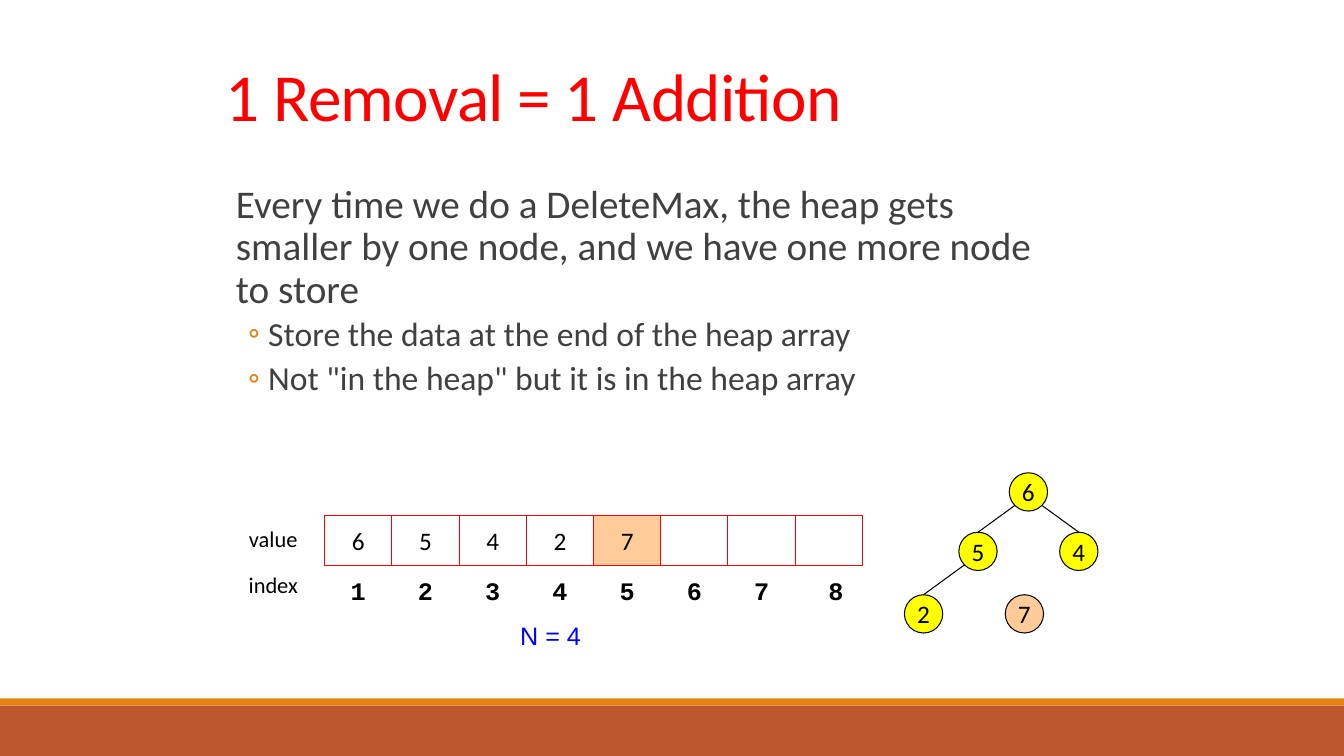
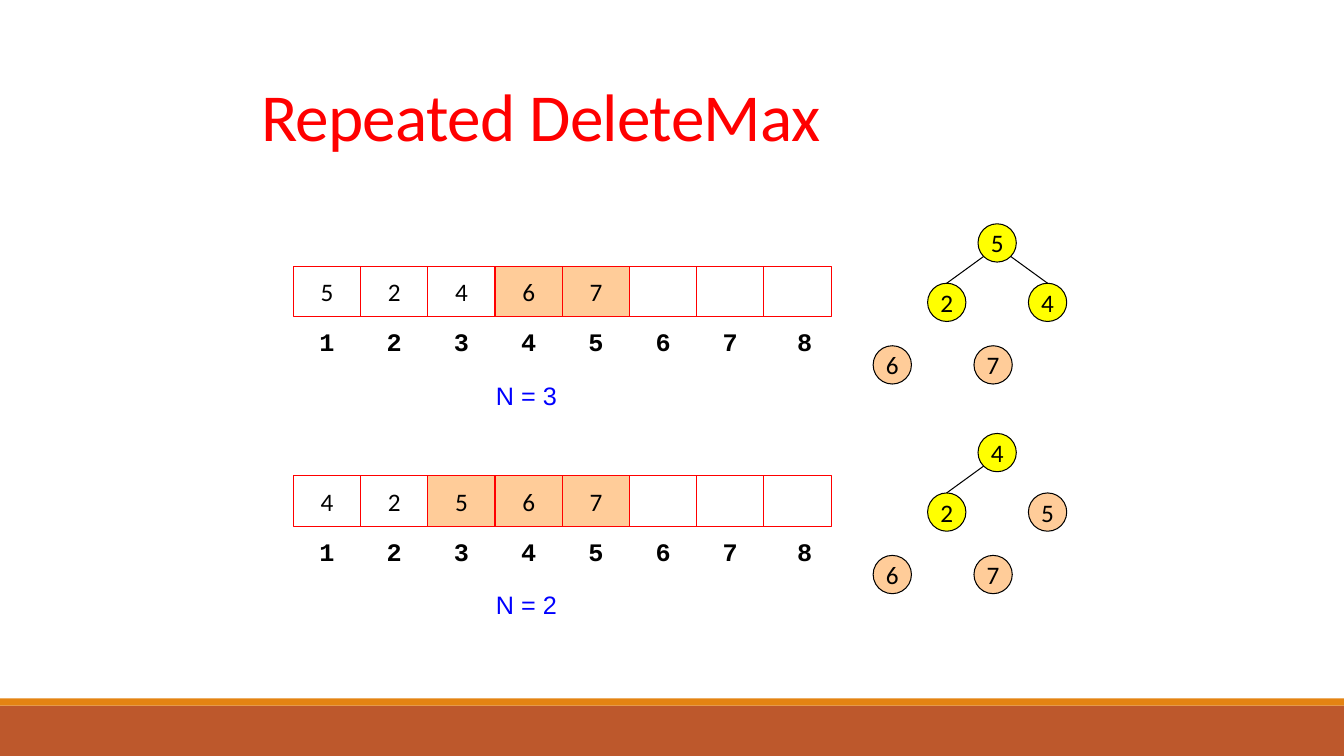
from math import sqrt
from lxml import etree
from pptx import Presentation, util as u
from pptx.dml.color import RGBColor
from pptx.enum import shapes as sh, text as tx
from pptx.oxml.ns import qn

WIDE, HIGH = 13.33, 7.5
INK, RED, BLUE, GREY = "000000", "FF0000", "0000FF", "404040"
RUST, AMBER, YELLOW, PEACH = "BD582C", "E48312", "FFFF00", "FFCC99"
BANDS = [(7, 0.5, RUST), (6.93, 0.07, AMBER)]

BODY = [
    (0, "Every time we do a DeleteMax, the heap gets smaller by one node, "
        "and we have one more node to store"),
    (1, "Store the data at the end of the heap array"),
    (1, 'Not "in the heap" but it is in the heap array'),
]
LEVELS = [(28, 0.1, 0, 12, 2), (24, 0.42, -0.2, 2, 4)]
LABELS = [("value", 5.16), ("index", 5.61)]

SLIDES = [
    dict(title="1 Removal = 1 Addition", at=(2.14, 0.61), body=BODY, labels=LABELS,
         heaps=[dict(data="65427", size=4, at=(3.22, 5.11), note=(1.84, 1))]),
    dict(title="Repeated DeleteMax", at=(2.49, 0.81), body=[], labels=[],
         heaps=[dict(data="52467", size=3, at=(2.91, 2.64), note=(1.91, 1.08)),
                dict(data="42567", size=2, at=(2.91, 4.72), note=(1.91, 1.08))]),
]

SLOTS, CELL, ROW, NODE = 8, 2 / 3, 0.5, 0.38
ROOT = (6.79, -0.42)
TREE = [(0, 0), (-0.5, 0.59), (0.5, 0.59), (-1.04, 1.21), (-0.04, 1.21)]


def color(code):
    return RGBColor.from_string(code)


def place(item, x, y, w, h):
    item.left, item.top, item.width, item.height = map(u.Inches, (x, y, w, h))


def style(par, size, code=INK, font="Calibri", bold=False):
    for run in par.runs:
        run.font.size, run.font.name, run.font.bold = u.Pt(size), font, bold
        run.font.color.rgb = color(code)


def shape(slide, kind, box, fill=None, line=None, text=""):
    item = slide.shapes.add_shape(kind, *map(u.Inches, box))
    item.shadow.inherit = False
    if fill:
        item.fill.solid()
        item.fill.fore_color.rgb = color(fill)
    else:
        item.fill.background()
    if line:
        item.line.color.rgb = color(line)
        item.line.width = u.Pt(0.75)
    else:
        item.line.fill.background()
    if text:
        write(item, text, 18)
    return item


def write(item, text, size, code=INK, font="Calibri", bold=False, mid=True):
    frame = item.text_frame
    frame.word_wrap = False
    frame.text = text
    frame.vertical_anchor = tx.MSO_ANCHOR.MIDDLE if mid else tx.MSO_ANCHOR.TOP
    par = frame.paragraphs[0]
    par.alignment = tx.PP_ALIGN.CENTER if mid else tx.PP_ALIGN.LEFT
    style(par, size, code, font, bold)


def label(slide, box, *args, **opts):
    write(slide.shapes.add_textbox(*map(u.Inches, box)), *args, **opts)


def bands(deck, slide):
    tree = deck.slide_master.shapes.element
    for row, (y, h, fill) in enumerate(BANDS):
        band = shape(slide, sh.MSO_SHAPE.RECTANGLE, (0, y, WIDE, h), fill)
        tree.insert(2 + row, band.element)


def title(slide, text, at):
    item = slide.shapes.title
    place(item, *at, 8.5, 1.25)
    frame = item.text_frame
    frame.text = text
    frame.auto_size = tx.MSO_AUTO_SIZE.NONE
    frame.vertical_anchor = tx.MSO_ANCHOR.TOP
    par = frame.paragraphs[0]
    par.alignment, par.line_spacing = tx.PP_ALIGN.LEFT, 0.85
    style(par, 48, RED)
    par.runs[0].font._element.set("spc", "-50")


def bullet(par, level):
    size, left, hang, above, below = LEVELS[level]
    par.level, par.line_spacing = level, 0.9
    par.space_before, par.space_after = u.Pt(above), u.Pt(below)
    style(par, size, GREY)
    props = par._p.get_or_add_pPr()
    props.set("marL", str(u.Inches(left)))
    props.set("indent", str(u.Inches(hang)))
    if level:
        tint = etree.SubElement(props, qn("a:buClr"))
        etree.SubElement(tint, qn("a:srgbClr"), val=AMBER)
        etree.SubElement(props, qn("a:buFont"), typeface="Calibri")
        etree.SubElement(props, qn("a:buChar"), char="◦")
    else:
        etree.SubElement(props, qn("a:buNone"))


def body(slide, lines):
    item = slide.placeholders[1]
    place(item, 2.14, 1.78, 8.25, 3)
    frame = item.text_frame
    frame.text = "\n".join(text for _, text in lines)
    frame.auto_size = tx.MSO_AUTO_SIZE.NONE
    for par, (level, _) in zip(frame.paragraphs, lines):
        bullet(par, level)


def edge(slide, top, child, side):
    reach = NODE / sqrt(8)
    x = top.left + top.width // 2 + side * u.Inches(reach)
    y = top.top + top.height // 2 + u.Inches(reach)
    line = slide.shapes.add_connector(sh.MSO_CONNECTOR.STRAIGHT, x, y, x, y)
    line.end_connect(child, 0)
    line.line.color.rgb = color(INK)
    line.line.width = u.Pt(0.75)
    etree.SubElement(line.element.spPr, qn("a:effectLst"))


def heap(slide, data, size, at, note):
    x, y = at
    for i in range(SLOTS):
        left = x + i * CELL
        fill = PEACH if size <= i < len(data) else None
        shape(slide, sh.MSO_SHAPE.RECTANGLE, (left, y, CELL, ROW), fill, RED, data[i:i + 1])
        nudge = 0.07 if i == SLOTS - 1 else 0
        label(slide, (left + nudge, y + ROW, CELL, ROW), str(i + 1), 18,
              font="Courier New", bold=True)
    label(slide, (x + note[0], y + note[1], 1.01, ROW), f"N = {size}", 18,
          BLUE, "Arial", mid=False)
    nodes = []
    for i, (dx, dy) in enumerate(TREE):
        box = (x + ROOT[0] + dx, y + ROOT[1] + dy, NODE, NODE)
        fill = YELLOW if i < size else PEACH
        nodes.append(shape(slide, sh.MSO_SHAPE.OVAL, box, fill, INK, data[i]))
    for i in range(1, size):
        edge(slide, nodes[(i - 1) // 2], nodes[i], -1 if i % 2 else 1)


def main():
    deck = Presentation()
    deck.slide_width, deck.slide_height = u.Inches(WIDE), u.Inches(HIGH)
    for n, page in enumerate(SLIDES):
        slide = deck.slides.add_slide(deck.slide_layouts[1 if page["body"] else 5])
        if n == 0:
            bands(deck, slide)
        title(slide, page["title"], page["at"])
        if page["body"]:
            body(slide, page["body"])
        for text, y in page["labels"]:
            label(slide, (2.26, y, 0.9, 0.37), text, 16)
        for item in page["heaps"]:
            heap(slide, **item)
    deck.save("out.pptx")


if __name__ == "__main__":
    main()
